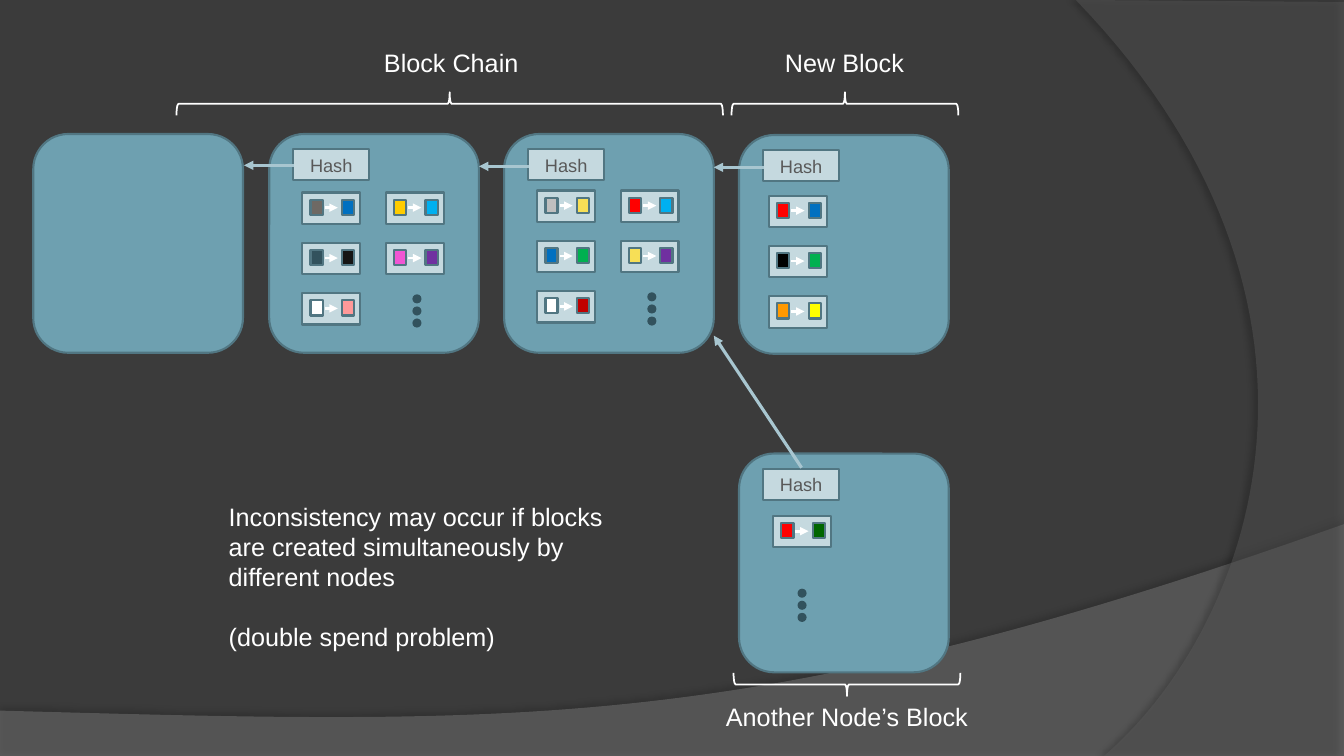
from dataclasses import dataclass

from lxml.etree import SubElement
from pptx import Presentation
from pptx.dml.color import RGBColor
from pptx.enum.shapes import MSO_CONNECTOR, MSO_SHAPE
from pptx.enum.text import MSO_ANCHOR, PP_ALIGN
from pptx.oxml.ns import qn
from pptx.util import Inches, Pt

Spot = tuple[float, float]
Pair = tuple[str, str]


@dataclass(frozen=True)
class Theme:
    font: str = "Arial"
    back: str = "3B3B3B"
    block: str = "6EA0B0"
    edge: str = "517682"
    panel: str = "C5D9DF"
    link: str = "A8C6D0"
    dot: str = "32525D"
    hash: str = "595959"
    white: str = "FFFFFF"
    label_size: float = 18
    hash_size: float = 13
    gap: float = 21
    edge_width: float = 1.5


@dataclass(frozen=True)
class Block:
    left: float
    top: float
    inset: float = 0.33             # first column of transfers, from the block's left
    first: float = 0.57             # first row of transfers, from the block's top
    columns: tuple[tuple[Pair, ...], ...] = ()
    link: Spot | None = None        # offset from the block's corner to the arrow's start
    target: Spot | None = None      # where the arrow ends
    dots: Spot | None = None


@dataclass(frozen=True)
class Brace:
    text: str
    mid: Spot
    length: float
    turn: int
    label: tuple[float, float, float]


@dataclass(frozen=True)
class Wave:
    fill: str
    alpha: int
    start: Spot
    lines: tuple[Spot, ...]
    curve: tuple[Spot, Spot, Spot]
    shade: tuple[int, float, int]   # opacity, distance, direction


THEME = Theme()
ROW, COLUMN = 0.5, 0.83

WAVES = [
    Wave("7F7F7F", 45, (0, 7.05), ((0, 7.51), (13.33, 7.51), (13.33, 5.2)),
         ((7.45, 7.29), (5.21, 7.19), (0, 7.05)), (35, 3.5, 270)),
    Wave("5E5E5E", 40, (13.33, 0.02), ((13.33, 7.5), (10.95, 7.5)),
         ((12.46, 6.19), (13.57, 3), (10.67, 0)), (45, 4, 180)),
]
BLOCKS = [
    Block(0.33, 1.33),
    Block(2.67, 1.33, 0.33, 0.58,
          ((("6E6964", "0070C0"), ("32525D", "161514"), ("FFFFFF", "FF9999")),
           (("FFCC00", "00B0F0"), ("F155D3", "7030A0"))),
          (0.25, 0.31), (2.42, 1.64), (4.09, 2.92)),
    Block(5, 1.33, 0.33, 0.56,
          ((("BFBFBF", "F7DF56"), ("0070C0", "00B050"), ("FFFFFF", "C00000")),
           (("FF0000", "00B0F0"), ("F7DF56", "7030A0"))),
          (0.25, 0.32), (4.75, 1.65), (6.42, 2.9)),
    Block(7.33, 1.34, 0.3, 0.6,
          ((("FF0000", "0070C0"), ("000000", "00B050"), ("FF9900", "FFFF00")),),
          (0.25, 0.32), (7.08, 1.66)),
    Block(7.33, 4.5, 0.34, 0.62, ((("FF0000", "006600"),),),
          (0.62, 0.14), (7.08, 3.33), (7.91, 5.84)),
]
BRACES = [
    Brace("Block Chain", (4.46, 1.03), 5.42, 270, (3.55, 0.42, 1.85)),
    Brace("New Block", (8.38, 1.03), 2.25, 270, (7.25, 0.42, 2.25)),
    Brace("Another Node’s Block", (8.4, 6.79), 2.25, 90, (6.88, 6.91, 3.04)),
]
NOTE = ["Inconsistency may occur if blocks are created simultaneously by different nodes",
        "(double spend problem)"]


def rgb(code: str) -> RGBColor:
    return RGBColor.from_string(code)


def add_shape(slide, kind, left: float, top: float, width: float, height: float,
              fill: str | None, edge: str | None = THEME.edge,
              weight: float = THEME.edge_width):
    shape = slide.shapes.add_shape(kind, *map(Inches, (left, top, width, height)))
    shape.shadow.inherit = False
    if fill:
        shape.fill.solid()
        shape.fill.fore_color.rgb = rgb(fill)
    else:
        shape.fill.background()
    if edge:
        shape.line.color.rgb = rgb(edge)
        shape.line.width = Pt(weight)
    else:
        shape.line.fill.background()
    return shape


def add_arrow(slide, start: Spot, end: Spot, color: str, weight: float) -> None:
    arrow = slide.shapes.add_connector(MSO_CONNECTOR.STRAIGHT, *map(Inches, start + end))
    arrow.line.color.rgb = rgb(color)
    arrow.line.width = Pt(weight)
    SubElement(arrow.line._get_or_add_ln(), qn("a:tailEnd"), type="triangle")
    SubElement(arrow._element.spPr, qn("a:effectLst"))


def set_font(para, size: float, color: str, align=PP_ALIGN.LEFT) -> None:
    para.alignment = align
    para.font.name = THEME.font
    para.font.size = Pt(size)
    para.font.color.rgb = rgb(color)


def add_text(slide, lines: list[str], left: float, top: float, width: float,
             height: float, align=PP_ALIGN.LEFT) -> None:
    frame = slide.shapes.add_textbox(*map(Inches, (left, top, width, height))).text_frame
    frame.word_wrap = True
    frame.text = "\n".join(lines)
    for para in frame.paragraphs:
        set_font(para, THEME.label_size, THEME.white, align)
    for para in frame.paragraphs[1:]:
        para.space_before = Pt(THEME.gap)


def add_wave(slide, wave: Wave) -> None:
    """Draw a translucent backdrop whose last side is a Bézier curve."""
    nodes = (wave.lines[-1], *wave.curve)
    steps = 60
    curve = []
    for step in range(1, steps + 1):
        t = step / steps
        parts = ((1 - t) ** 3, 3 * t * (1 - t) ** 2, 3 * t * t * (1 - t), t ** 3)
        curve.append(tuple(sum(p * n[axis] for p, n in zip(parts, nodes))
                           for axis in (0, 1)))
    pen = slide.shapes.build_freeform(*map(Inches, wave.start))
    pen.add_line_segments([(Inches(x), Inches(y)) for x, y in (*wave.lines, *curve)])
    shape = pen.convert_to_shape()
    shape.shadow.inherit = False
    shape.line.fill.background()
    shape.fill.solid()
    shape.fill.fore_color.rgb = rgb(wave.fill)
    props = shape._element.spPr
    tint = props.find(qn("a:solidFill")).find(qn("a:srgbClr"))
    SubElement(tint, qn("a:alpha"), val=str(wave.alpha * 1000))
    alpha, far, angle = wave.shade
    shade = SubElement(props.find(qn("a:effectLst")), qn("a:outerShdw"),
                       blurRad=str(Pt(4)), dist=str(Pt(far)), dir=str(angle * 60000))
    black = SubElement(shade, qn("a:srgbClr"), val="000000")
    SubElement(black, qn("a:alpha"), val=str(alpha * 1000))


def add_swap(slide, left: float, top: float, pair: Pair) -> None:
    """Draw a transfer: a panel with an arrow between two coloured chips."""
    add_shape(slide, MSO_SHAPE.RECTANGLE, left, top, 0.57, 0.31, THEME.panel)
    for dx, color in zip((0.08, 0.39), pair):
        add_shape(slide, MSO_SHAPE.RECTANGLE, left + dx, top + 0.07, 0.12, 0.15, color)
    mid = top + 0.15
    add_arrow(slide, (left + 0.22, mid), (left + 0.35, mid), THEME.white, 2)


def add_hash(slide, left: float, top: float) -> None:
    box = add_shape(slide, MSO_SHAPE.RECTANGLE, left, top, 0.75, 0.31, THEME.panel)
    frame = box.text_frame
    frame.margin_left = frame.margin_right = 0
    frame.vertical_anchor = MSO_ANCHOR.MIDDLE
    frame.text = "Hash"
    set_font(frame.paragraphs[0], THEME.hash_size, THEME.hash, PP_ALIGN.CENTER)


def add_block(slide, block: Block) -> None:
    left, top = block.left, block.top
    add_shape(slide, MSO_SHAPE.ROUNDED_RECTANGLE, left, top, 2.08, 2.17, THEME.block)
    if block.link and block.target:
        add_hash(slide, left + 0.24, top + 0.15)
        start = (left + block.link[0], top + block.link[1])
        add_arrow(slide, start, block.target, THEME.link, 2.25)
    for col, pairs in enumerate(block.columns):
        for row, pair in enumerate(pairs):
            add_swap(slide, left + block.inset + col * COLUMN,
                     top + block.first + row * ROW, pair)
    if block.dots:
        for step in range(3):
            add_shape(slide, MSO_SHAPE.OVAL, block.dots[0], block.dots[1] + step * 0.12,
                      0.09, 0.09, THEME.dot, None)


def add_brace(slide, brace: Brace) -> None:
    x, y = brace.mid
    depth = 0.23
    shape = add_shape(slide, MSO_SHAPE.RIGHT_BRACE, x - depth / 2, y - brace.length / 2,
                      depth, brace.length, None, THEME.white, 1.25)
    shape.rotation = brace.turn
    add_text(slide, [brace.text], *brace.label, 0.4, PP_ALIGN.CENTER)


def main() -> None:
    deck = Presentation()
    deck.slide_width, deck.slide_height = Inches(13.33), Inches(7.5)
    slide = deck.slides.add_slide(deck.slide_layouts[6])
    slide.background.fill.solid()
    slide.background.fill.fore_color.rgb = rgb(THEME.back)
    for draw, items in ((add_wave, WAVES), (add_block, BLOCKS), (add_brace, BRACES)):
        for item in items:
            draw(slide, item)
    add_text(slide, NOTE, 2.17, 4.92, 4.32, 1.62)
    deck.save("out.pptx")


if __name__ == "__main__":
    main()
